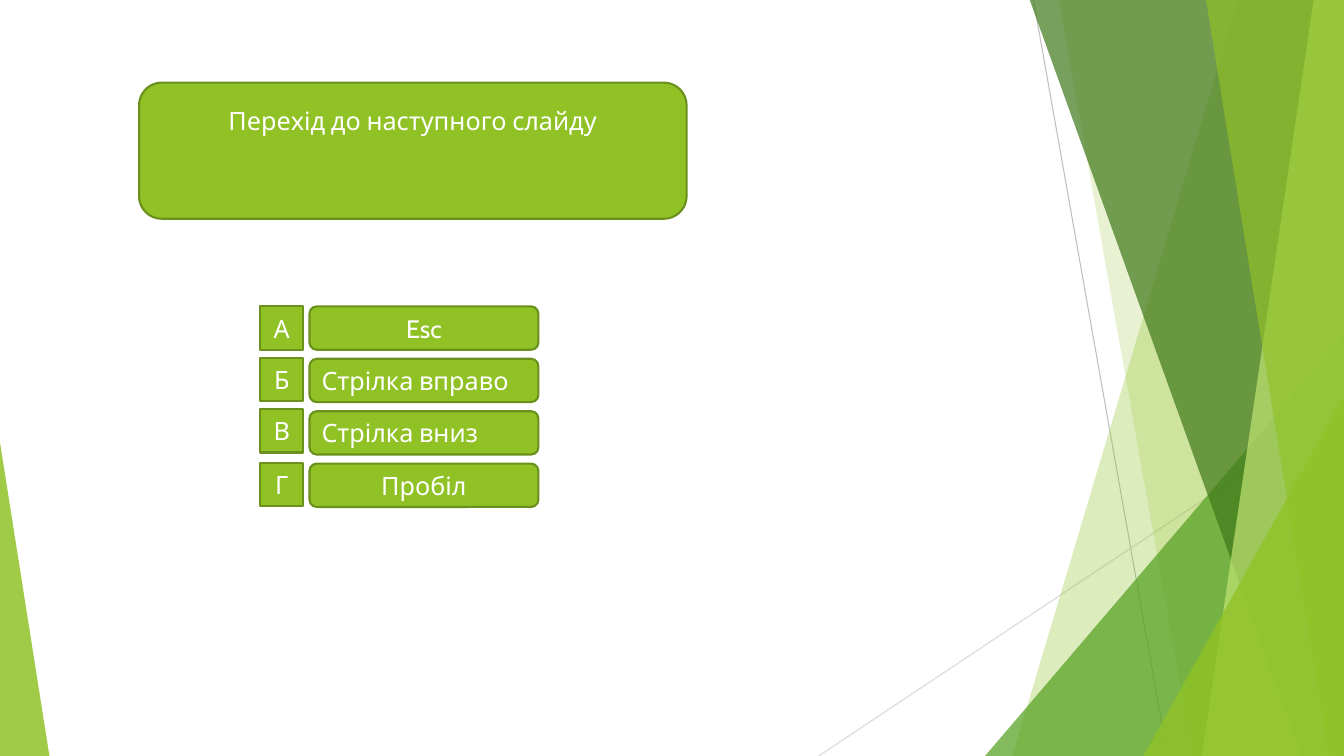
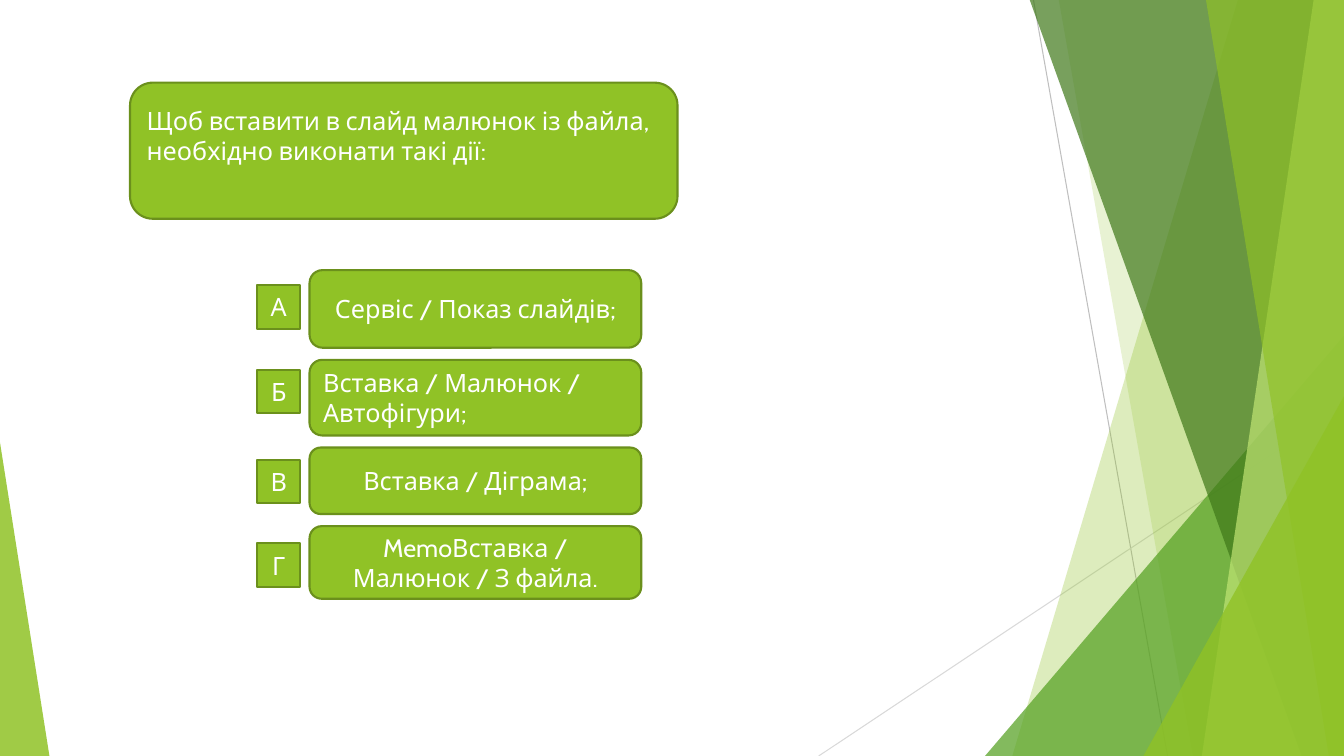
import pptx
import pptx.dml.color
import pptx.enum.shapes
import pptx.enum.text
import pptx.oxml.ns
import pptx.util
from lxml import etree

Inches = pptx.util.Inches
SHAPES = pptx.enum.shapes.MSO_SHAPE
ALIGN = pptx.enum.text.PP_ALIGN
ANCHOR = pptx.enum.text.MSO_ANCHOR

GREEN, EDGE, WHITE = "90C226", "6B901C", "FFFFFF"
BOTTOM, RIGHT = 7.5, 13.33

# Facet background: start, end, colour
LINES = [
    ((10.25, 0), (11.58, BOTTOM), "BFBFBF"),
    ((RIGHT, 4.03), (8.12, BOTTOM), "D9D9D9"),
]
# Bands reach the right edge: top x, bottom x, colour, opacity in percent
# Triangles stand on the bottom edge: left, top, width, apex, colour, opacity
FACETS = [
    ("band", 12.28, 10.04, GREEN, 30),
    ("band", 10.5, 11.83, GREEN, 20),
    ("triangle", 9.77, 3.33, 3.56, 1, "54A021", 72),
    ("band", 10.21, 12.91, "3F7819", 70),
    ("band", 13.03, 11.92, "C0E474", 70),
    ("band", 11.96, 13.18, GREEN, 65),
    ("triangle", 11.34, 3.93, 1.99, 1, GREEN, 80),
    ("triangle", 0, 4.39, 0.49, 0, GREEN, 85),
]


def color(value):
    return pptx.dml.color.RGBColor.from_string(value)


def apply(target, values):
    for name, value in values.items():
        setattr(target, name, value)


class Deck:
    """Holds the shared style and the slide being drawn."""

    font = {"name": "Cabin", "size": pptx.util.Pt(18)}

    def __init__(self):
        self.presentation = pptx.Presentation()
        apply(self.presentation,
              {"slide_width": Inches(RIGHT), "slide_height": Inches(BOTTOM)})
        self.slide = None

    def new_slide(self):
        layout = self.presentation.slide_layouts[6]
        self.slide = self.presentation.slides.add_slide(layout)
        for start, end, value in LINES:
            self.line(start, end, value)
        for kind, *values in FACETS:
            getattr(self, kind)(*values)

    # Background parts
    def line(self, start, end, value):
        ends = [Inches(number) for number in (*start, *end)]
        line = self.slide.shapes.add_connector(
            pptx.enum.shapes.MSO_CONNECTOR.STRAIGHT, *ends)
        line.line.color.rgb = color(value)
        line.line.width = pptx.util.Pt(0.75)
        etree.SubElement(line._element.spPr, pptx.oxml.ns.qn("a:effectLst"))

    def tint(self, shape, value, opacity):
        shape.shadow.inherit = False
        shape.line.fill.background()
        shape.fill.solid()
        shape.fill.fore_color.rgb = color(value)
        fill = shape._element.spPr.find(pptx.oxml.ns.qn("a:solidFill"))
        etree.SubElement(fill[0], pptx.oxml.ns.qn("a:alpha"),
                         val=str(opacity * 1000))

    def band(self, top_x, bottom_x, value, opacity):
        corners = [(top_x, -0.01), (RIGHT, -0.01),
                   (RIGHT, BOTTOM), (bottom_x, BOTTOM)]
        points = [(Inches(x), Inches(y)) for x, y in corners]
        builder = self.slide.shapes.build_freeform(*points[0])
        builder.add_line_segments(points[1:], close=True)
        self.tint(builder.convert_to_shape(), value, opacity)

    def triangle(self, left, top, width, apex, value, opacity):
        shape = self.slide.shapes.add_shape(
            SHAPES.ISOSCELES_TRIANGLE, Inches(left), Inches(top),
            Inches(width), Inches(BOTTOM - top))
        shape.adjustments[0] = apex
        self.tint(shape, value, opacity)

    # Quiz parts
    def box(self, kind, place, text, align=ALIGN.CENTER, **frame_format):
        shape = self.slide.shapes.add_shape(kind, *map(Inches, place))
        shape.shadow.inherit = False
        shape.fill.solid()
        shape.fill.fore_color.rgb = color(GREEN)
        shape.line.color.rgb = color(EDGE)
        shape.line.width = pptx.util.Pt(1.5)
        frame = shape.text_frame
        apply(frame, {"word_wrap": True, "vertical_anchor": ANCHOR.MIDDLE,
                      **frame_format})
        paragraph = frame.paragraphs[0]
        paragraph.alignment = align
        run = paragraph.add_run()
        run.text = text
        apply(run.font, self.font)
        run.font.color.rgb = color(WHITE)

    def question(self, left, text, align):
        self.box(SHAPES.ROUNDED_RECTANGLE, (left, 0.82, 5.43, 1.35), text,
                 align, vertical_anchor=ANCHOR.TOP, margin_top=Inches(0.16))

    def answers(self, top, width, gap, rows):
        for height, text, align in rows:
            self.box(SHAPES.ROUNDED_RECTANGLE, (3.07, top, width, height),
                     text, align, margin_top=0, margin_bottom=0)
            top += height + gap

    def letters(self, left, tops):
        for letter, top in zip("АБВГ", tops):
            self.box(SHAPES.ACTION_BUTTON_CUSTOM, (left, top, 0.43, 0.43),
                     letter, margin_left=0, margin_right=0)


def main():
    deck = Deck()

    # Moving to the next slide
    deck.new_slide()
    deck.question(1.38, "Перехід до наступного слайду", ALIGN.CENTER)
    deck.answers(3.04, 2.27, 0.09, [
        (0.43, "Esc", ALIGN.CENTER),
        (0.43, "Стрілка вправо", ALIGN.LEFT),
        (0.43, "Стрілка вниз", ALIGN.LEFT),
        (0.43, "Пробіл", ALIGN.CENTER),
    ])
    deck.letters(2.58, [3.04, 3.55, 4.06, 4.59])

    # Inserting a drawing from a file
    deck.new_slide()
    deck.question(
        1.29,
        "Щоб вставити в слайд малюнок із файла, необхідно виконати такі дії:",
        ALIGN.LEFT)
    deck.answers(2.68, 3.29, 0.12, [
        (0.77, "Сервіс / Показ слайдів;", ALIGN.CENTER),
        (0.75, "Вставка / Малюнок / Автофігури;", ALIGN.LEFT),
        (0.66, "Вставка / Діграма;", ALIGN.CENTER),
        (0.72, "MemoВставка / Малюнок / З файла.", ALIGN.CENTER),
    ])
    deck.letters(2.55, [2.83, 3.67, 4.56, 5.39])

    deck.presentation.save("out.pptx")


if __name__ == "__main__":
    main()
